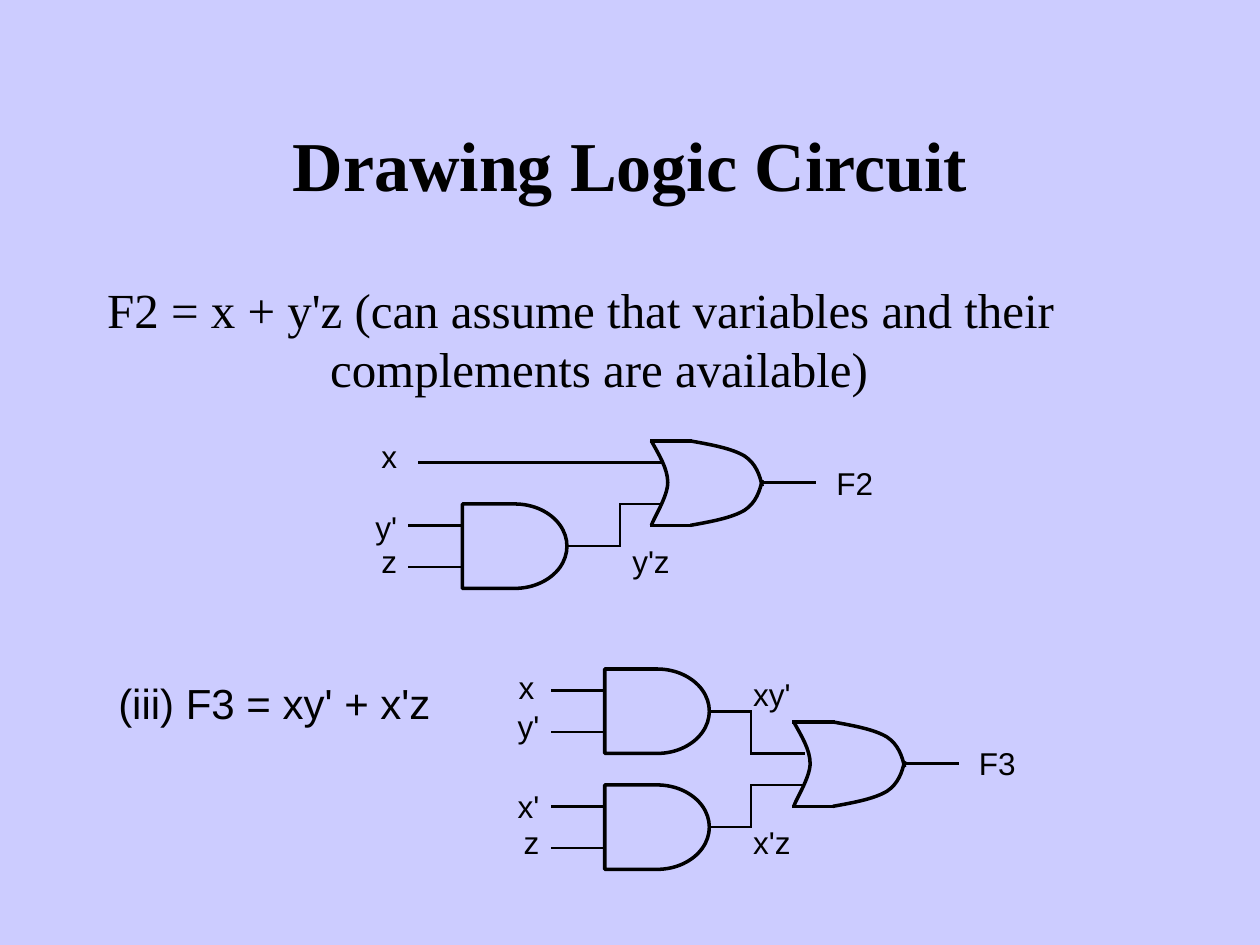
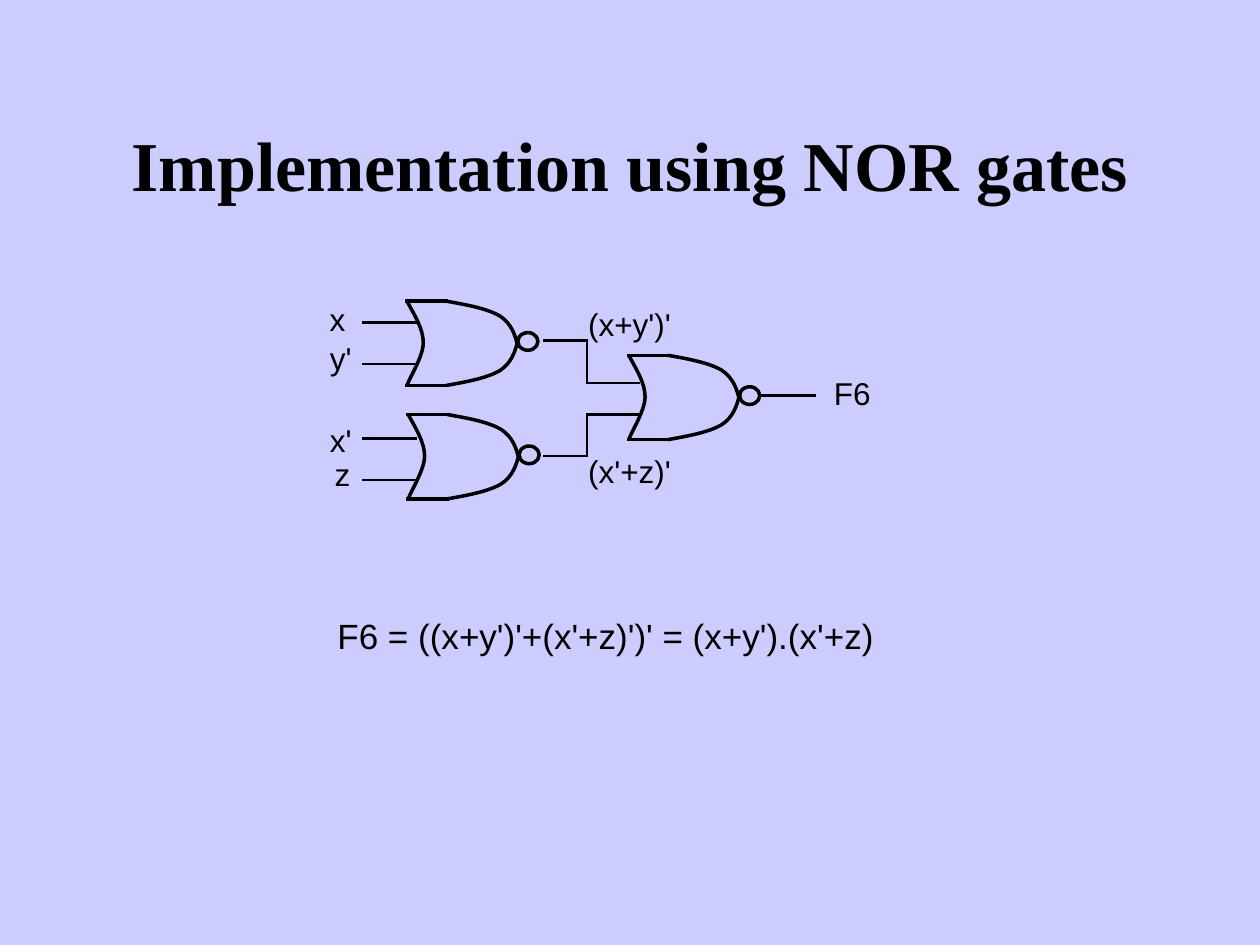
"""Build two slides of logic circuits made of AND, OR and NOR gates."""
from itertools import pairwise

from lxml import etree
from pptx import Presentation
from pptx.dml.color import RGBColor
from pptx.enum import shapes, text
from pptx.oxml.ns import qn
from pptx.util import Inches, Pt

COLORS = {"background": "CCCCFF", "ink": "000000"}
INK = RGBColor.from_string(COLORS["ink"])
TITLE = {"name": "Times New Roman", "size": Pt(40), "bold": True}
BODY = {"name": "Times New Roman", "size": Pt(28), "bold": False}
LABEL = {"name": "Arial", "size": Pt(18)}
LEFT, RIGHT, CENTER = text.PP_ALIGN.LEFT, text.PP_ALIGN.RIGHT, text.PP_ALIGN.CENTER
GATE_HEIGHT = 0.67
AND_WIDTH = 0.83
OR_EDGE = 0.31
BUBBLE = (0.16, 0.14)
HANG = Inches(1.77)

OR_BACK = [(0, 0), (0.06, 0.11), (0.13, 0.22), (0.13, 0.33),
           (0.13, 0.44), (0.02, 0.61), (0, GATE_HEIGHT)]
OR_TOP = [(OR_EDGE, 0), (0.48, 0.03), (0.64, 0.06), (0.74, 0.12),
          (0.83, 0.18), (0.86, 0.27), (0.88, 0.36)]
OR_BOTTOM = [(x, GATE_HEIGHT - y) for x, y in OR_TOP]

PAGES = [
    {
        "title": "Drawing Logic Circuit",
        "body": "F2 = x + y'z (can assume that variables and their complements are available)",
        "and_gates": [  # left, top, turn of the output wire, end of the output wire
            (3.67, 4, 4.92, (5.25, 4)),
            (4.8, 5.31, 5.96, (6.38, 5.98)),
            (4.8, 6.23, 5.96, (6.38, 6.23)),
        ],
        "or_gates": [(5.17, 3.5), (6.3, 5.73)],
        "bubbles": [],
        "wires": [
            [(3.33, 3.67), (5.25, 3.67)],
            [(6.05, 3.83), (6.47, 3.83)],
            [(7.18, 6.06), (7.6, 6.06)],
        ],
        "labels": [
            ("x", 2.92, 3.42, 0.33, RIGHT), ("y'", 2.83, 3.98, 0.42, RIGHT),
            ("z", 2.92, 4.25, 0.33, RIGHT), ("y'z", 4.92, 4.25, 0.5, LEFT),
            ("F2", 6.54, 3.63, 0.58, LEFT),
            ("x", 3.92, 5.25, 0.42, RIGHT), ("y'", 3.96, 5.56, 0.42, RIGHT),
            ("x'", 3.96, 6.2, 0.42, RIGHT), ("z", 4.05, 6.48, 0.33, RIGHT),
            ("xy'", 5.88, 5.31, 0.5, LEFT), ("x'z", 5.88, 6.48, 0.5, LEFT),
            ("F3", 7.67, 5.86, 0.58, LEFT),
        ],
        "formula": ("(iii) F3 = xy' + x'z", 0.84, 5.33, 2.68, 0.5, 24),
    },
    {
        "title": "Implementation using NOR gates",
        "body": None,
        "and_gates": [],
        "or_gates": [(3.23, 2.39), (3.24, 3.29), (4.99, 2.82)],
        "bubbles": [(4.11, 2.64), (4.12, 3.54), (5.87, 3.07)],
        "wires": [
            *[[(2.88, y), (3.3, y)] for y in (2.56, 2.89, 3.48, 3.81)],
            [(4.32, 2.7), (4.66, 2.7), (4.66, 3.04), (5.07, 3.04)],
            [(4.32, 3.62), (4.66, 3.62), (4.66, 3.29), (5.07, 3.29)],
            [(6.05, 3.14), (6.47, 3.14)],
        ],
        "labels": [
            ("x", 2.42, 2.33, 0.42, RIGHT), ("y'", 2.47, 2.64, 0.42, RIGHT),
            ("x'", 2.47, 3.29, 0.42, RIGHT), ("z", 2.55, 3.56, 0.33, RIGHT),
            ("(x+y')'", 4.57, 2.37, 0.9, LEFT), ("(x'+z)'", 4.57, 3.54, 0.9, LEFT),
            ("F6", 6.52, 2.92, 0.58, LEFT),
        ],
        "formula": ("F6 = ((x+y')'+(x'+z)')' = (x+y').(x'+z)", 2.58, 4.83, 4.46, 0.44, 20),
    },
]


def write(box, words, style, align, wrap=True):
    frame = box.text_frame
    frame.word_wrap = wrap
    frame.auto_size = text.MSO_AUTO_SIZE.NONE
    para = frame.paragraphs[0]
    para.alignment = align
    span = para.add_run()
    span.text = words
    for name, value in style.items():
        setattr(span.font, name, value)
    span.font.color.rgb = INK
    return para


def draw_wire(page, points, weight=1.5):
    wires = []
    for start, end in pairwise(points):
        wire = page.shapes.add_connector(shapes.MSO_CONNECTOR.STRAIGHT,
                                         *map(Inches, start + end))
        wire.line.color.rgb = INK
        wire.line.width = Pt(weight)
        stroke = wire.line._get_or_add_ln()
        stroke.set("cap", "sq")
        etree.SubElement(stroke.getparent(), qn("a:effectLst"))
        wires.append(wire)
    return wires


deck = Presentation()
deck.slide_width, deck.slide_height = Inches(10), Inches(7.5)
background = deck.slide_master.background.fill
background.solid()
background.fore_color.rgb = RGBColor.from_string(COLORS["background"])

for content in PAGES:
    page = deck.slides.add_slide(deck.slide_layouts[1 if content["body"] else 5])
    title = page.shapes.title
    title.left, title.top, title.width, title.height = map(Inches, (0.75, 0.67, 8.5, 1.25))
    title.text_frame.vertical_anchor = text.MSO_ANCHOR.MIDDLE
    write(title, content["title"], TITLE, CENTER)

    if content["body"]:
        body = page.placeholders[1]
        body.left, body.top, body.width, body.height = map(Inches, (0.75, 2.17, 8.5, 4.5))
        para = write(body, content["body"], BODY, LEFT)
        para.space_before = Pt(0)
        properties = para._p.get_or_add_pPr()
        properties.set("marL", str(HANG))
        properties.set("indent", str(-HANG))
        etree.SubElement(properties, qn("a:buNone"))

    outlines = []
    for left, top, turn, end in content["and_gates"]:
        gate = page.shapes.add_shape(shapes.MSO_SHAPE.FLOWCHART_DELAY,
                                     *map(Inches, (left, top, AND_WIDTH, GATE_HEIGHT)))
        outlines.append(gate)
        for y in (top + 0.17, top + 0.5):
            draw_wire(page, [(left - 0.42, y), (left, y)])
        middle = top + GATE_HEIGHT / 2
        output = draw_wire(page, [(left + AND_WIDTH, middle), (turn, middle), (turn, end[1]), end])
        output[0].begin_connect(gate, 3)

    for left, top in content["or_gates"]:
        for y in (top, top + GATE_HEIGHT):
            draw_wire(page, [(left, y), (left + OR_EDGE, y)], weight=2)
        for curve in (OR_BACK, OR_TOP, OR_BOTTOM):
            points = [(Inches(left + x), Inches(top + y)) for x, y in curve]
            builder = page.shapes.build_freeform(*points[0])
            builder.add_line_segments(points[1:], close=False)
            arc = builder.convert_to_shape()
            segments = list(arc._element.iter(qn("a:lnTo")))
            track = segments[0].getparent()
            for first in range(0, len(segments), 3):
                bend = etree.SubElement(track, qn("a:cubicBezTo"))
                for segment in segments[first:first + 3]:
                    bend.append(segment[0])
                    track.remove(segment)
            outlines.append(arc)

    for place in content["bubbles"]:
        outlines.append(page.shapes.add_shape(shapes.MSO_SHAPE.OVAL,
                                              *map(Inches, place + BUBBLE)))

    for outline in outlines:
        outline.shadow.inherit = False
        outline.fill.background()
        outline.line.color.rgb = INK
        outline.line.width = Pt(2)

    for points in content["wires"]:
        draw_wire(page, points)

    for words, left, top, width, align in content["labels"]:
        box = page.shapes.add_textbox(*map(Inches, (left, top, width, 0.4)))
        write(box, words, LABEL, align)

    words, *place, size = content["formula"]
    box = page.shapes.add_textbox(*map(Inches, place))
    write(box, words, LABEL | {"size": Pt(size)}, LEFT, wrap=False)

deck.save("out.pptx")
